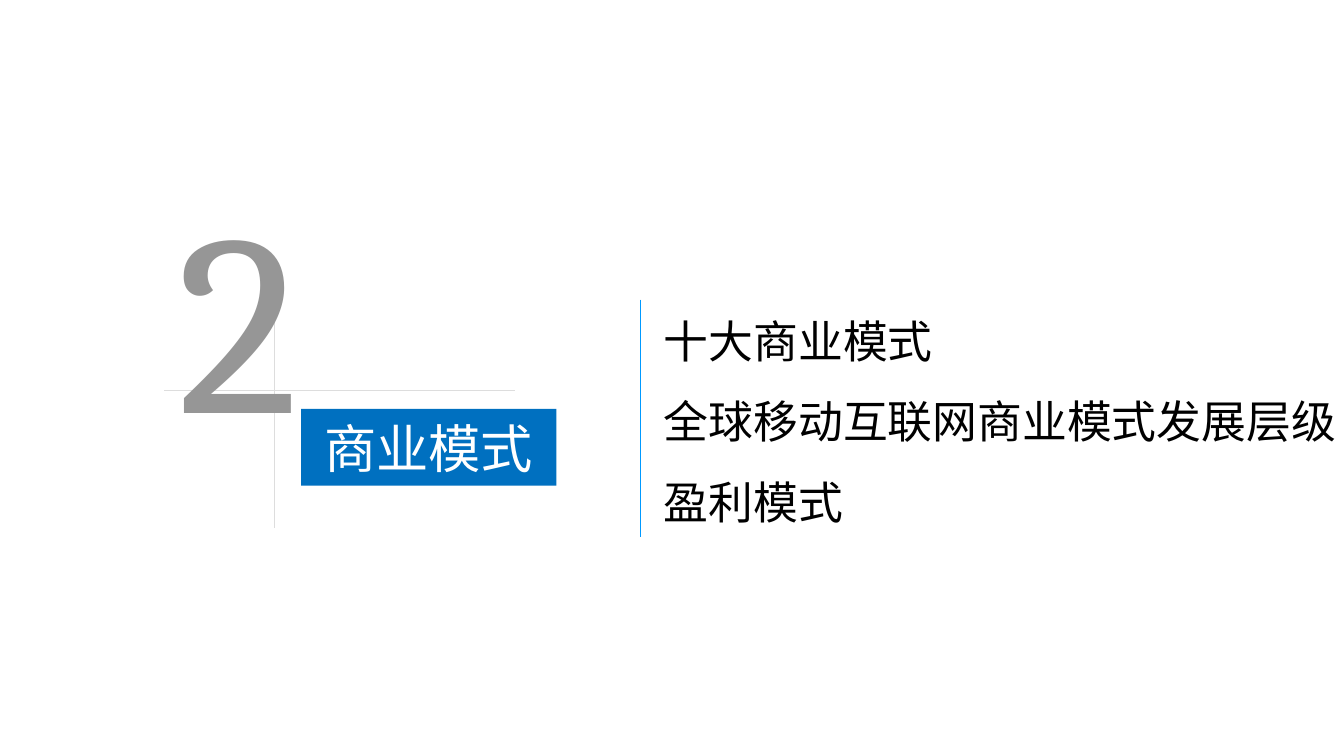
"""Build the section slide on business models."""
from lxml.etree import SubElement
from pptx import Presentation
from pptx.dml.color import RGBColor
from pptx.enum.shapes import MSO_CONNECTOR
from pptx.enum.text import MSO_ANCHOR, MSO_AUTO_SIZE, PP_ALIGN
from pptx.oxml.ns import qn
from pptx.util import Pt

COLORS = {
    "banner": "0070C0",
    "banner_text": "FFFFFF",
    "guide": "DDDDDD",
    "number": "969696",
    "divider": "0099FF",
    "text": "000000",
}


class SectionSlide:
    latin_font = "Calibri"
    number_font = "Cambria"
    chinese_font = "Noto Sans CJK SC"

    def __init__(self, presentation):
        self.slide = presentation.slides.add_slide(presentation.slide_layouts[1])

    def color(self, name):
        return RGBColor.from_string(COLORS[name])

    def place(self, shape, left, top, width, height):
        shape.left, shape.top = Pt(left), Pt(top)
        shape.width, shape.height = Pt(width), Pt(height)

    def add_run(self, paragraph, text, size, color, font):
        run = paragraph.add_run()
        run.text = text
        run.font.size = Pt(size)
        run.font.name = font
        run.font.color.rgb = self.color(color)
        properties = run.font._element
        SubElement(properties, qn("a:ea"), typeface=self.chinese_font)

    def banner(self, text, *box):
        title = self.slide.shapes.title
        self.place(title, *box)
        title.fill.solid()
        title.fill.fore_color.rgb = self.color("banner")
        frame = title.text_frame
        frame.auto_size = MSO_AUTO_SIZE.NONE
        frame.vertical_anchor = MSO_ANCHOR.MIDDLE
        paragraph = frame.paragraphs[0]
        paragraph.alignment = PP_ALIGN.CENTER
        self.add_run(paragraph, text, 28, "banner_text", self.latin_font)

    def topics(self, items, *box):
        body = self.slide.placeholders[1]
        self.place(body, *box)
        frame = body.text_frame
        frame.auto_size = MSO_AUTO_SIZE.NONE
        frame.word_wrap = False
        for index, item in enumerate(items):
            paragraph = frame.add_paragraph() if index else frame.paragraphs[0]
            properties = paragraph._p.get_or_add_pPr()
            properties.set("marL", "0")
            properties.set("indent", "0")
            SubElement(properties, qn("a:buNone"))
            paragraph.line_spacing = 1.5
            paragraph.space_before = Pt(0)
            self.add_run(paragraph, item, 24, "text", self.chinese_font)

    def number(self, text, *box):
        shape = self.slide.shapes.add_textbox(*map(Pt, box))
        frame = shape.text_frame
        frame.word_wrap = True
        self.add_run(frame.paragraphs[0], text, 138, "number", self.number_font)

    def line(self, color, *ends):
        connector = self.slide.shapes.add_connector(
            MSO_CONNECTOR.STRAIGHT, *map(Pt, ends)
        )
        connector.line.color.rgb = self.color(color)
        connector.line.width = Pt(0.25)
        SubElement(connector._element.spPr, qn("a:effectLst"))


def main():
    presentation = Presentation()
    presentation.slide_width, presentation.slide_height = Pt(720), Pt(405)
    section = SectionSlide(presentation)
    section.banner("商业模式", 161.3, 219, 136.8, 41.2)
    section.line("guide", 147, 155.5, 147, 283)
    section.line("guide", 88, 208.8, 275.8, 208.8)
    section.number("2", 88, 80, 59, 174)
    section.topics(
        ["十大商业模式", "全球移动互联网商业模式发展层级", "盈利模式"],
        348.5, 149.8, 378, 138.2,
    )
    section.line("divider", 343, 160.5, 343, 287.5)
    presentation.save("out.pptx")


if __name__ == "__main__":
    main()
